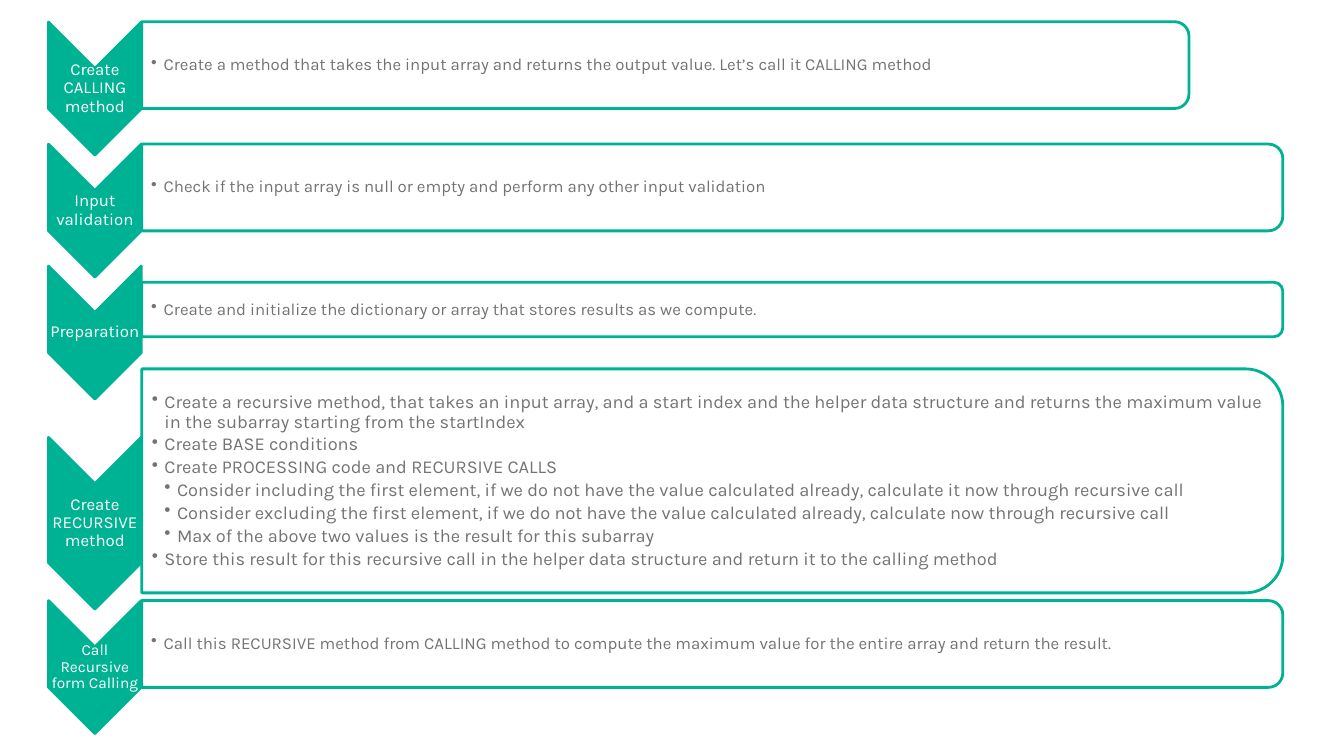
import pptx
import pptx.dml.color
import pptx.enum.shapes
import pptx.enum.text
import pptx.oxml.ns
import pptx.util
from lxml import etree

Pt = pptx.util.Pt
RGBColor = pptx.dml.color.RGBColor
SHAPES = pptx.enum.shapes.MSO_SHAPE
ALIGN = pptx.enum.text.PP_ALIGN
qn = pptx.oxml.ns.qn

THEME = {
    "font": "Karla",
    "green": RGBColor(0x00, 0xB2, 0x94),
    "white": RGBColor(0xFF, 0xFF, 0xFF),
    "gray": RGBColor(0x73, 0x73, 0x73),
    "size": 12,
    "small": 11,
    "large": 13,
    "line": 2,
}

CHEVRON_LEFT, CHEVRON_WIDTH = 34.6, 66.3
PANEL_LEFT = 101.3
CORNER = 0.1667  # corner radius as a share of the panel height
INDENT = 9


def add_text(slide, paragraphs, left, top, width, height, *, size, color,
             align=ALIGN.LEFT, inset=0.7, bullets=False, space_after=0):
    """Add a vertically centred text box; paragraphs are (level, text) pairs."""
    box = slide.shapes.add_textbox(Pt(left), Pt(top), Pt(width), Pt(height))
    frame = box.text_frame
    frame.word_wrap = True
    frame.vertical_anchor = pptx.enum.text.MSO_ANCHOR.MIDDLE
    frame.margin_left = Pt(inset)
    frame.margin_right = frame.margin_top = frame.margin_bottom = Pt(0.7)
    for index, (level, text) in enumerate(paragraphs):
        paragraph = frame.paragraphs[0] if index == 0 else frame.add_paragraph()
        paragraph.alignment = align
        paragraph.line_spacing = 0.9
        paragraph.space_before = Pt(0)
        paragraph.space_after = Pt(space_after)
        if bullets:
            paragraph.level = level
            properties = paragraph._p.get_or_add_pPr()
            properties.set("marL", str(Pt(INDENT * level)))
            properties.set("indent", str(-Pt(INDENT)))
            etree.SubElement(properties, qn("a:buChar")).set("char", "•")
        run = paragraph.add_run()
        run.text = text
        run.font.name = THEME["font"]
        run.font.size = Pt(size)
        run.font.color.rgb = color


def add_turned_shape(slide, kind, left, top, width, height, fill):
    """Add a shape turned by 90 degrees that covers the given area."""
    shape = slide.shapes.add_shape(
        kind, Pt(left + (width - height) / 2), Pt(top + (height - width) / 2),
        Pt(height), Pt(width))
    shape.rotation = 90
    shape.shadow.inherit = False
    shape.fill.solid()
    shape.fill.fore_color.rgb = fill
    shape.line.color.rgb = THEME["green"]
    shape.line.width = Pt(THEME["line"])
    return shape


# Steps: label, label size, chevron top and height, panel top, width and height,
# text size, bullets
STEPS = [
    ("Create CALLING method", THEME["size"], 15.7, 95, 15.5, 748, 62, THEME["size"], [
        (1, "Create a method that takes the input array and returns the output "
            "value. Let’s call it CALLING method")]),
    ("Input validation", THEME["size"], 102.9, 95, 102.9, 815, 62, THEME["size"], [
        (1, "Check if the input array is null or empty and perform any other "
            "input validation")]),
    ("Preparation", THEME["size"], 190, 95, 201.6, 815, 39, THEME["size"], [
        (1, "Create and initialize the dictionary or array that stores results "
            "as we compute.")]),
    ("Create RECURSIVE method", THEME["size"], 312.4, 122.6, 263.5, 815, 160, THEME["large"], [
        (1, "Create a recursive method, that takes an input array, and a start "
            "index and the helper data structure and returns the maximum value "
            "in the subarray starting from the startIndex"),
        (1, "Create BASE conditions"),
        (1, "Create PROCESSING code and RECURSIVE CALLS"),
        (2, "Consider including the first element, if we do not have the value "
            "calculated already, calculate it now through recursive call"),
        (2, "Consider excluding the first element, if we do not have the value "
            "calculated already, calculate now through recursive call"),
        (2, "Max of the above two values is the result for this subarray"),
        (1, "Store this result for this recursive call in the helper data "
            "structure and return it to the calling method")]),
    ("Call Recursive form Calling", THEME["small"], 429, 95, 429, 815, 62, THEME["size"], [
        (1, "Call this RECURSIVE method from CALLING method to compute the "
            "maximum value for the entire array and return the result.")]),
]

# Slide
presentation = pptx.Presentation()
presentation.slide_width = Pt(960)
presentation.slide_height = Pt(540)
slide = presentation.slides.add_slide(presentation.slide_layouts[6])

for (label, label_size, chevron_top, chevron_height,
     panel_top, panel_width, panel_height, text_size, bullets) in STEPS:
    # Chevron with its label between notch and tip
    add_turned_shape(slide, SHAPES.CHEVRON, CHEVRON_LEFT, chevron_top,
                     CHEVRON_WIDTH, chevron_height, THEME["green"])
    add_text(slide, [(0, label)], CHEVRON_LEFT, chevron_top + CHEVRON_WIDTH / 2,
             CHEVRON_WIDTH, chevron_height - CHEVRON_WIDTH,
             size=label_size, color=THEME["white"], align=ALIGN.CENTER)

    # Panel, slightly transparent
    panel = add_turned_shape(slide, SHAPES.ROUND_2_SAME_RECTANGLE, PANEL_LEFT,
                             panel_top, panel_width, panel_height, THEME["white"])
    fill_color = panel._element.spPr.find(qn("a:solidFill")).find(qn("a:srgbClr"))
    etree.SubElement(fill_color, qn("a:alpha")).set("val", "90000")

    # Bullets, kept clear of the round corners
    corner_inset = 0.29 * CORNER * panel_height
    add_text(slide, bullets, PANEL_LEFT, panel_top + corner_inset,
             panel_width - corner_inset, panel_height - 2 * corner_inset,
             size=text_size, color=THEME["gray"], inset=text_size * 0.55,
             bullets=True, space_after=2.3)

presentation.save("out.pptx")
